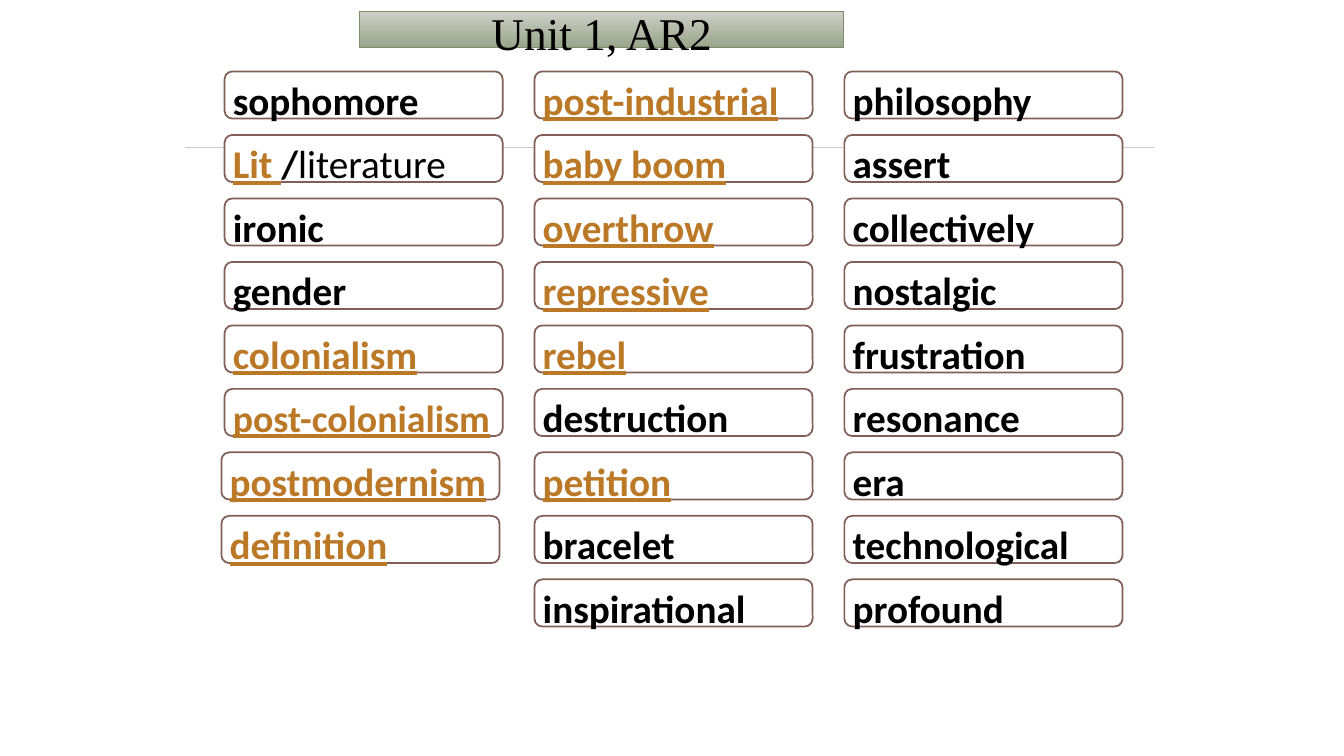
from lxml.etree import SubElement
from pptx import Presentation
from pptx.dml.color import RGBColor
from pptx.enum.shapes import MSO_CONNECTOR, MSO_SHAPE
from pptx.enum.text import MSO_ANCHOR, PP_ALIGN
from pptx.oxml.ns import qn
from pptx.util import Cm, Pt

TITLE = "Unit 1, AR2"
STYLES = {
    "linked": {"color": "BB7826", "bold": True, "underline": True},
    "strong": {"color": "000000", "bold": True, "underline": False},
    "plain": {"color": "000000", "bold": False, "underline": False},
}
COLUMNS = [
    [
        [("sophomore", "strong")],
        [("Lit ", "linked"), ("/", "strong"), ("literature", "plain")],
        [("ironic", "strong")],
        [("gender", "strong")],
        [("colonialism", "linked")],
        [("post-colonialism", "linked")],
        [("postmodernism", "linked")],
        [("definition", "linked")],
    ],
    [
        [("post-industrial", "linked")],
        [("baby boom", "linked")],
        [("overthrow", "linked")],
        [("repressive", "linked")],
        [("rebel", "linked")],
        [("destruction", "strong")],
        [("petition", "linked")],
        [("bracelet", "strong")],
        [("inspirational", "strong")],
    ],
    [
        [("philosophy", "strong")],
        [("assert", "strong")],
        [("collectively", "strong")],
        [("nostalgic", "strong")],
        [("frustration", "strong")],
        [("resonance", "strong")],
        [("era", "strong")],
        [("technological", "strong")],
        [("profound", "strong")],
    ],
]
SMALLER = {"post-colonialism": 27}
SHIFTED = {"postmodernism": -0.08, "definition": -0.08}
LEFT, TOP = 5.66, 1.8
COLUMN_STEP, ROW_STEP = 7.81, 1.6
CARD_WIDTH, CARD_HEIGHT = 7.01, 1.19


def color(value):
    return RGBColor.from_string(value)


def add_box(page, kind, place, outline, width, insets):
    box = page.shapes.add_shape(kind, *[Cm(length) for length in place])
    box.shadow.inherit = False
    box.line.color.rgb = color(outline)
    box.line.width = Pt(width)
    frame = box.text_frame
    frame.word_wrap = True
    frame.vertical_anchor = MSO_ANCHOR.MIDDLE
    frame.margin_left, frame.margin_top, frame.margin_right, frame.margin_bottom = [
        Cm(inset) for inset in insets
    ]
    return box


def add_rule(page):
    rule = page.shapes.add_connector(
        MSO_CONNECTOR.STRAIGHT, Cm(4.67), Cm(3.71), Cm(29.08), Cm(3.71)
    )
    rule.line.color.rgb = color("CCCCCC")
    rule.line.width = Pt(0.75)
    SubElement(rule._element.spPr, qn("a:effectLst"))


def add_title(page):
    box = add_box(page, MSO_SHAPE.RECTANGLE, (9.07, 0.28, 12.19, 0.91),
                  "7F8C6C", 0.75, (0.25, 0.18, 0.25, 0))
    box.fill.gradient()
    box.fill.gradient_angle = 270
    for stop, shade in zip(box.fill.gradient_stops, ("CDD0C8", "9AA58B")):
        stop.color.rgb = color(shade)
    para = box.text_frame.paragraphs[0]
    para.text = TITLE
    para.alignment = PP_ALIGN.CENTER
    para.font.name = "Times New Roman"
    para.font.size = Pt(32.4)
    para.font.color.rgb = color("000000")


def add_card(page, column, row, spans):
    word = spans[0][0]
    left = LEFT + column * COLUMN_STEP + SHIFTED.get(word, 0)
    place = (left, TOP + row * ROW_STEP, CARD_WIDTH, CARD_HEIGHT)
    box = add_box(page, MSO_SHAPE.ROUNDED_RECTANGLE, place,
                  "815F56", 1.25, (0.15, 0.03, 0.05, 0.03))
    box.fill.solid()
    box.fill.fore_color.rgb = color("FFFFFF")
    para = box.text_frame.paragraphs[0]
    para.alignment = PP_ALIGN.LEFT
    para.line_spacing = 1.2
    para.font.name = "Calibri"
    para.font.size = Pt(SMALLER.get(word, 28))
    for text, style in spans:
        span = para.add_run()
        span.text = text
        span.font.bold = STYLES[style]["bold"]
        span.font.underline = STYLES[style]["underline"]
        span.font.color.rgb = color(STYLES[style]["color"])


def main():
    deck = Presentation()
    deck.slide_width, deck.slide_height = Cm(33.87), Cm(19.05)
    page = deck.slides.add_slide(deck.slide_layouts[6])
    add_rule(page)
    add_title(page)
    for column, words in enumerate(COLUMNS):
        for row, spans in enumerate(words):
            add_card(page, column, row, spans)
    deck.save("out.pptx")


if __name__ == "__main__":
    main()
